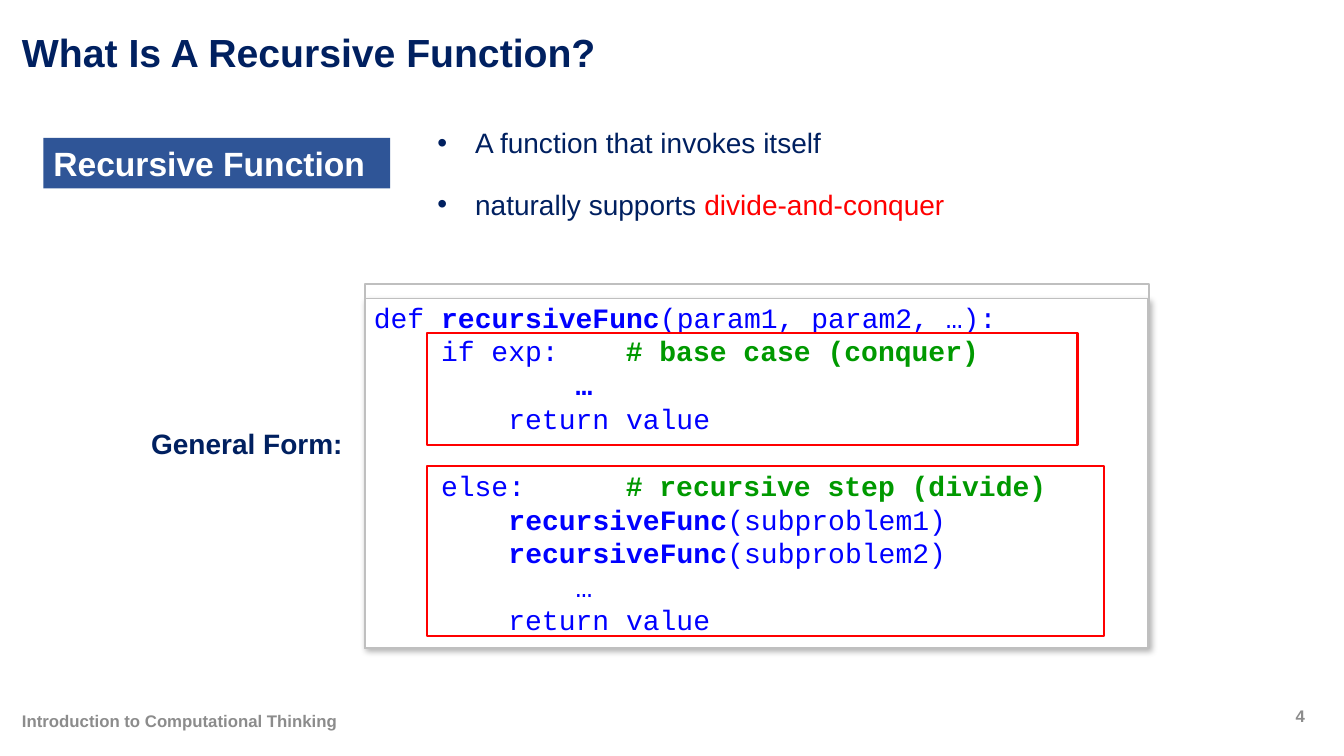
import pptx
import pptx.util
import pptx.dml.color
import pptx.enum.shapes
import pptx.enum.text
import pptx.oxml
import pptx.oxml.ns

Pt = pptx.util.Pt
NAVY, BLUE, GREEN, RED = "002060", "0000FF", "009900", "FF0000"
GREY, BORDER, WHITE = "8C8C8C", "BFBFBF", "FFFFFF"


def rgb(value):
    return pptx.dml.color.RGBColor.from_string(value)


def xml(markup):
    ns = pptx.oxml.ns.nsdecls("a")
    return pptx.oxml.parse_xml(markup.replace(">", f" {ns}>", 1))


class Deck:
    """Draws styled elements on the current slide."""

    def __init__(self, prs):
        self.s = prs.slides.add_slide(prs.slide_layouts[6])

    def run(self, p, text, size, color, bold=False, font="Arial"):
        r = p.add_run()
        r.text = text
        r.font.name, r.font.size, r.font.bold = font, Pt(size), bold
        r.font.color.rgb = rgb(color)

    def frame(self, x, y, w, h, middle=False):
        sp = self.s.shapes.add_textbox(Pt(x), Pt(y), Pt(w), Pt(h))
        tf = sp.text_frame
        tf.word_wrap = True
        anchor = pptx.enum.text.MSO_ANCHOR
        tf.vertical_anchor = anchor.MIDDLE if middle else anchor.TOP
        return sp

    def label(self, x, y, w, h, text, size, color, middle=True, center=False):
        p = self.frame(x, y, w, h, middle).text_frame.paragraphs[0]
        if center:
            p.alignment = pptx.enum.text.PP_ALIGN.CENTER
        self.run(p, text, size, color, True)

    def paragraphs(self, tf, items):
        for i, item in enumerate(items):
            p = tf.paragraphs[0] if i == 0 else tf.add_paragraph()
            p.line_spacing = Pt(24)
            yield p, item

    def bullets(self, x, y, w, h, items):
        tf = self.frame(x, y, w, h).text_frame
        for p, runs in self.paragraphs(tf, items):
            p.space_after = Pt(20)
            pPr = p._p.get_or_add_pPr()
            pPr.set("marL", str(Pt(27)))
            pPr.set("indent", str(-Pt(27)))
            pPr.append(xml('<a:buFont typeface="Arial"></a:buFont>'))
            pPr.append(xml('<a:buChar char="•"></a:buChar>'))
            for text, color in runs:
                self.run(p, text, 20, color)

    def code(self, x, y, w, h, lines):
        sp = self.frame(x, y, w, h)
        for p, (gap, runs) in self.paragraphs(sp.text_frame, lines):
            if gap:
                p.space_before = Pt(gap)
            for text, color, bold in runs:
                self.run(p, text, 20, color, bold, "Courier New")
        return sp

    def rect(self, x, y, w, h, fill=None, line=None, width=1.0):
        kind = pptx.enum.shapes.MSO_SHAPE.RECTANGLE
        sp = self.s.shapes.add_shape(kind, Pt(x), Pt(y), Pt(w), Pt(h))
        sp.shadow.inherit = False
        if fill:
            sp.fill.solid()
            sp.fill.fore_color.rgb = rgb(fill)
        else:
            sp.fill.background()
        if line:
            sp.line.color.rgb = rgb(line)
            sp.line.width = Pt(width)
        else:
            sp.line.fill.background()
        return sp

    def drop_shadow(self, sp):
        effects = sp._element.spPr.find(pptx.oxml.ns.qn("a:effectLst"))
        effects.append(xml(
            f'<a:outerShdw blurRad="{Pt(4.5)}" dist="{Pt(2.6)}" dir="{53 * 60000}" algn="tl" rotWithShape="0">'
            '<a:srgbClr val="000000"><a:alpha val="30000"/></a:srgbClr></a:outerShdw>'))

    def group(self, shapes):
        self.s.shapes.add_group_shape(shapes)


def main():
    prs = pptx.Presentation()
    prs.slide_width, prs.slide_height = Pt(960), Pt(540)
    d = Deck(prs)

    d.label(8.64, 12.24, 914.4, 48.96, "What Is A Recursive Function?", 28, NAVY)
    d.label(8.64, 500.4, 593.3, 28.8, "Introduction to Computational Thinking", 12, GREY)
    d.label(911.5, 496.8, 34.6, 28.8, "4", 12, GREY, center=True)

    d.rect(31, 98.6, 247.7, 36, fill="2F5597")
    d.label(31, 98.6, 247.7, 36, "Recursive Function", 24, WHITE)
    d.bullets(305.3, 86.4, 386, 75.6, [
        [("A function that invokes itself", NAVY)],
        [("naturally supports ", NAVY), ("divide-and-conquer", RED)],
    ])

    name = ("recursiveFunc", BLUE, True)
    panel = d.rect(260.6, 213.1, 559.4, 249.8, WHITE, BORDER)
    d.drop_shadow(panel)
    listing = d.code(259.9, 211, 533.5, 249.8, [
        (0, [("def ", BLUE, False), name, ("(param1, param2, …):", BLUE, False)]),
        (0, [("    if exp:\t\t", BLUE, False), ("# base case (conquer)", GREEN, True)]),
        (0, [("            …", BLUE, True)]),
        (0, [("        return value", BLUE, False)]),
        (24, [("    else:\t\t", BLUE, False), ("# recursive step (divide)", GREEN, True)]),
        (0, [("        ", BLUE, False), name, ("(subproblem1)", BLUE, False)]),
        (0, [("        ", BLUE, False), name, ("(subproblem2)", BLUE, False)]),
        (0, [("            …", BLUE, False)]),
        (0, [("        return value", BLUE, False)]),
    ])
    border = d.rect(260.6, 203, 560.2, 259.9, line=BORDER)
    d.group([panel, listing, border])

    d.label(100.8, 301, 159.1, 31.7, "General Form:", 20, NAVY, middle=False)
    for y, w, h in [(237.6, 464.4, 80.6), (332.6, 483.1, 121.7)]:
        d.rect(305.3, y, w, h, line=RED, width=1.5)

    prs.save("out.pptx")


if __name__ == "__main__":
    main()
